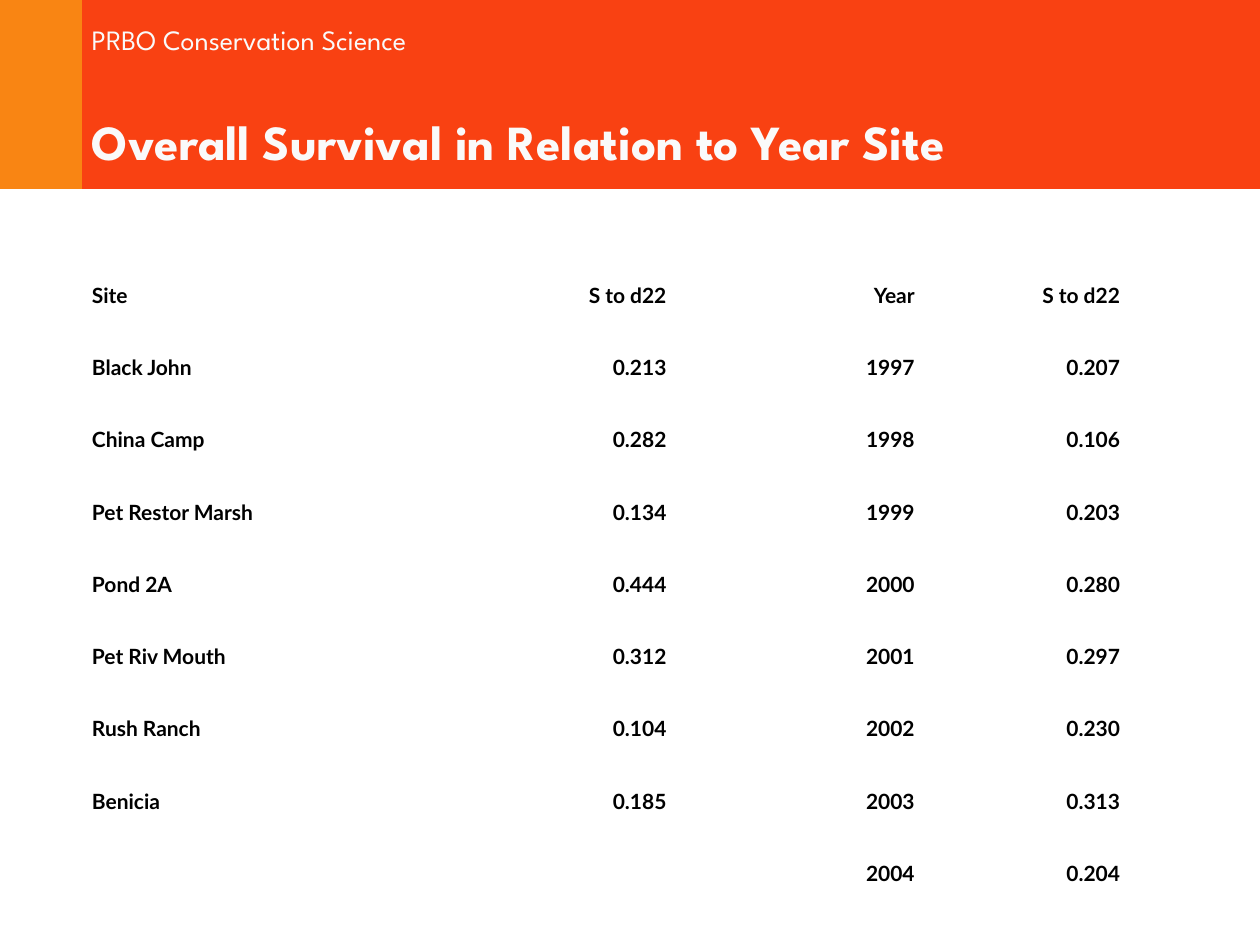
from dataclasses import dataclass
from itertools import zip_longest

from pptx import Presentation
from pptx.dml.color import RGBColor
from pptx.enum.shapes import MSO_SHAPE as Preset
from pptx.enum.text import MSO_ANCHOR as Anchor, MSO_AUTO_SIZE as AutoSize, PP_ALIGN as Align
from pptx.slide import Slide
from pptx.util import Inches, Pt


def color(hex_value):
    return RGBColor.from_string(hex_value)


@dataclass
class SlideBuilder:
    slide: Slide
    heading_font: str = "League Spartan"
    body_font: str = "Lato"
    light: str = "FAFAFA"
    dark: str = "000000"

    def run(self, paragraph, text, font, size, hex_value, bold=False):
        run = paragraph.add_run()
        run.text = text
        run.font.name = font
        run.font.size = Pt(size)
        run.font.bold = bold
        run.font.color.rgb = color(hex_value)

    def band(self, width, height, hex_value):
        band = self.slide.shapes.add_shape(
            Preset.RECTANGLE, 0, 0, Inches(width), Inches(height))
        band.shadow.inherit = False
        band.fill.solid()
        band.fill.fore_color.rgb = color(hex_value)
        band.line.fill.background()
        self.slide.shapes.title.element.addprevious(band.element)

    def label(self, text, left, top, width, height):
        label = self.slide.shapes.add_textbox(
            Inches(left), Inches(top), Inches(width), Inches(height))
        label.text_frame.word_wrap = False
        label.text_frame.auto_size = AutoSize.SHAPE_TO_FIT_TEXT
        self.run(label.text_frame.paragraphs[0], text, self.heading_font, 16, self.light)

    def title(self, text, left, top, width, height):
        title = self.slide.shapes.title
        title.left, title.top = Inches(left), Inches(top)
        title.width, title.height = Inches(width), Inches(height)
        frame = title.text_frame
        frame.word_wrap = True
        frame.auto_size = AutoSize.NONE
        frame.vertical_anchor = Anchor.MIDDLE
        frame.paragraphs[0].alignment = Align.LEFT
        self.run(frame.paragraphs[0], text, self.heading_font, 28, self.light, True)

    def table(self, rows, left, top, column_widths, height):
        table = self.slide.shapes.add_table(
            len(rows), len(column_widths), Inches(left), Inches(top),
            Inches(sum(column_widths)), Inches(height)).table
        table.first_row = False
        table.horz_banding = False
        for column, width in zip(table.columns, column_widths):
            column.width = Inches(width)
        for row_index, row in enumerate(rows):
            for column_index, text in enumerate(row):
                cell = table.cell(row_index, column_index)
                cell.fill.background()
                cell.vertical_anchor = Anchor.BOTTOM
                paragraph = cell.text_frame.paragraphs[0]
                paragraph.alignment = Align.RIGHT if column_index else Align.LEFT
                if text:
                    self.run(paragraph, text, self.body_font, 12, self.dark, True)


def main():
    presentation = Presentation()
    presentation.slide_width = Inches(10)
    presentation.slide_height = Inches(7.5)
    builder = SlideBuilder(presentation.slides.add_slide(presentation.slide_layouts[5]))

    builder.band(10, 1.5, "F94112")
    builder.band(0.65, 1.5, "F98513")
    builder.label("PRBO Conservation Science", 0.63, 0.13, 3.06, 0.37)
    builder.title("Overall Survival in Relation to Year Site", 0.63, 0.49, 9.37, 1.25)

    site_survival = [
        ("Site", "S to d22"),
        ("Black John", "0.213"),
        ("China Camp", "0.282"),
        ("Pet Restor Marsh", "0.134"),
        ("Pond 2A", "0.444"),
        ("Pet Riv Mouth", "0.312"),
        ("Rush Ranch", "0.104"),
        ("Benicia", "0.185"),
    ]
    year_survival = [
        ("Year", "S to d22"),
        ("1997", "0.207"),
        ("1998", "0.106"),
        ("1999", "0.203"),
        ("2000", "0.280"),
        ("2001", "0.297"),
        ("2002", "0.230"),
        ("2003", "0.313"),
        ("2004", "0.204"),
    ]
    rows = [(*site, "", *year) for site, year in
            zip_longest(site_survival, year_survival, fillvalue=("", ""))]
    builder.table(rows, 0.63, 1.92, [3.13, 1.63, 0.68, 1.29, 1.63], 5.16)

    presentation.save("out.pptx")


if __name__ == "__main__":
    main()
